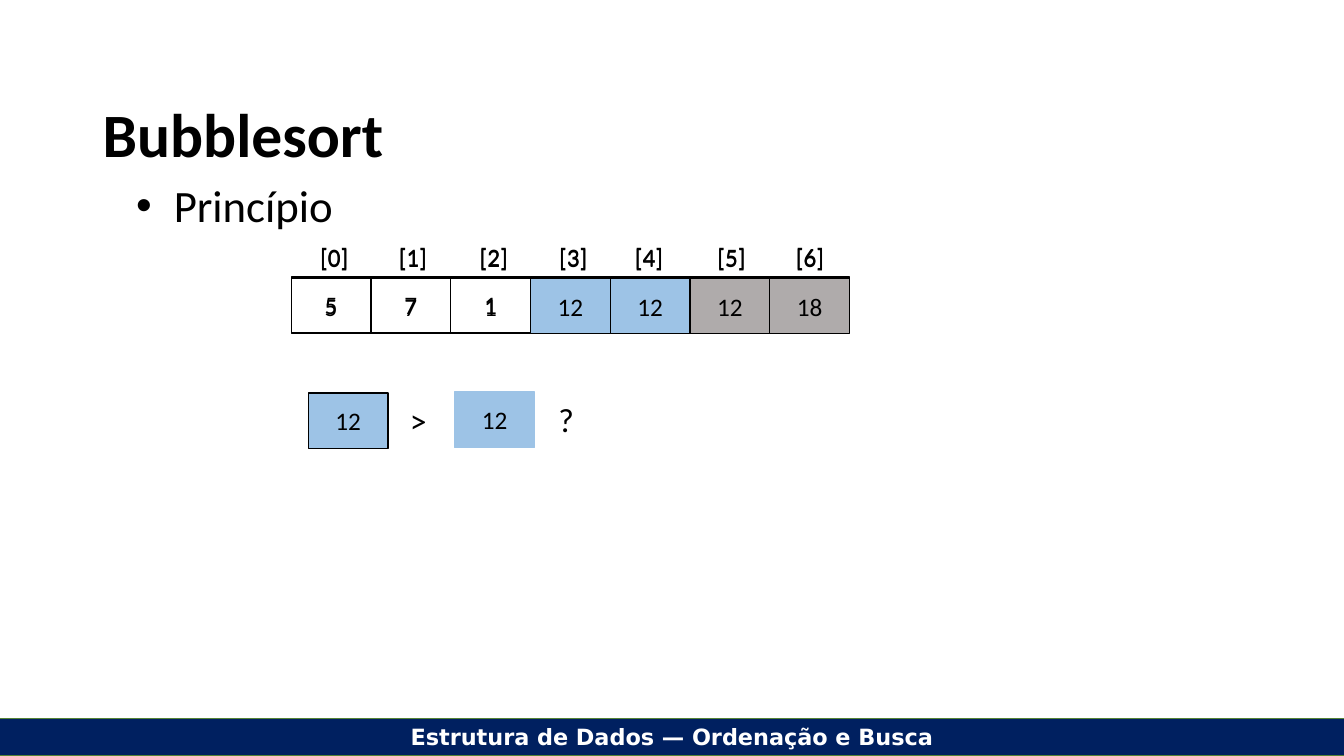
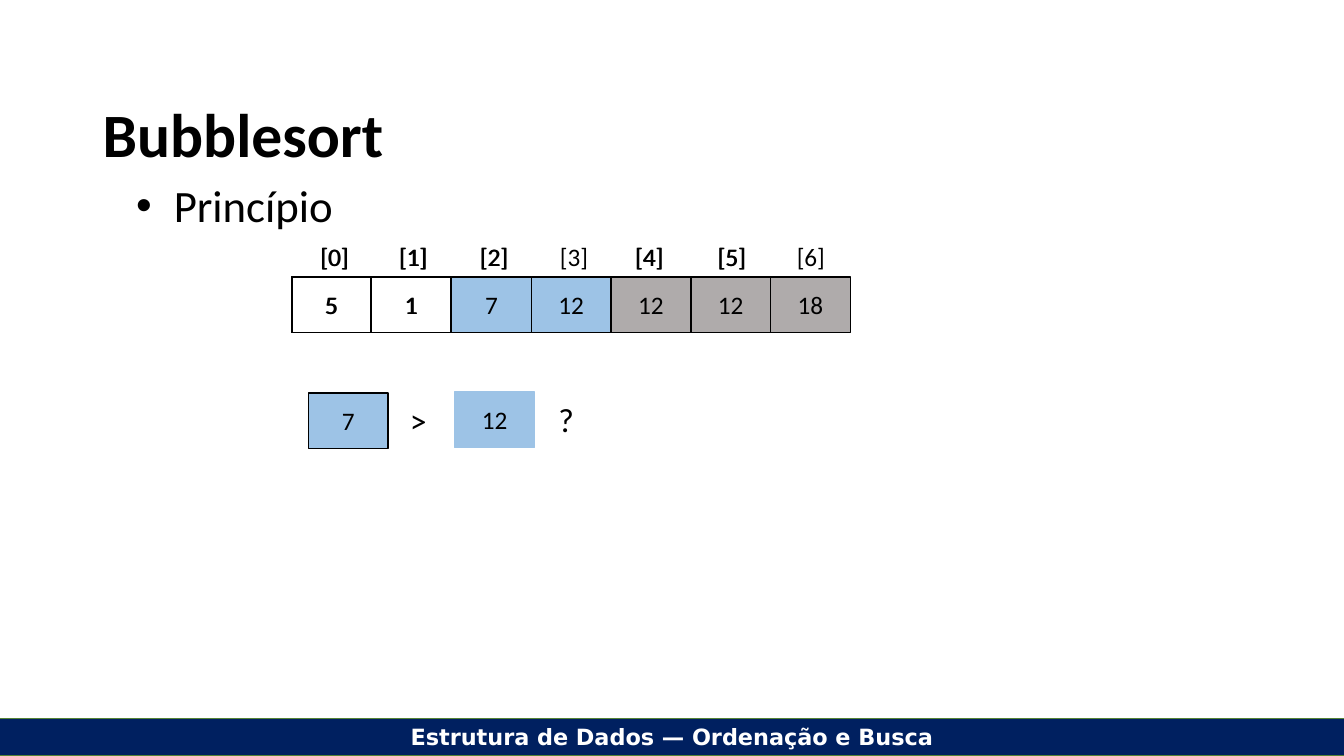
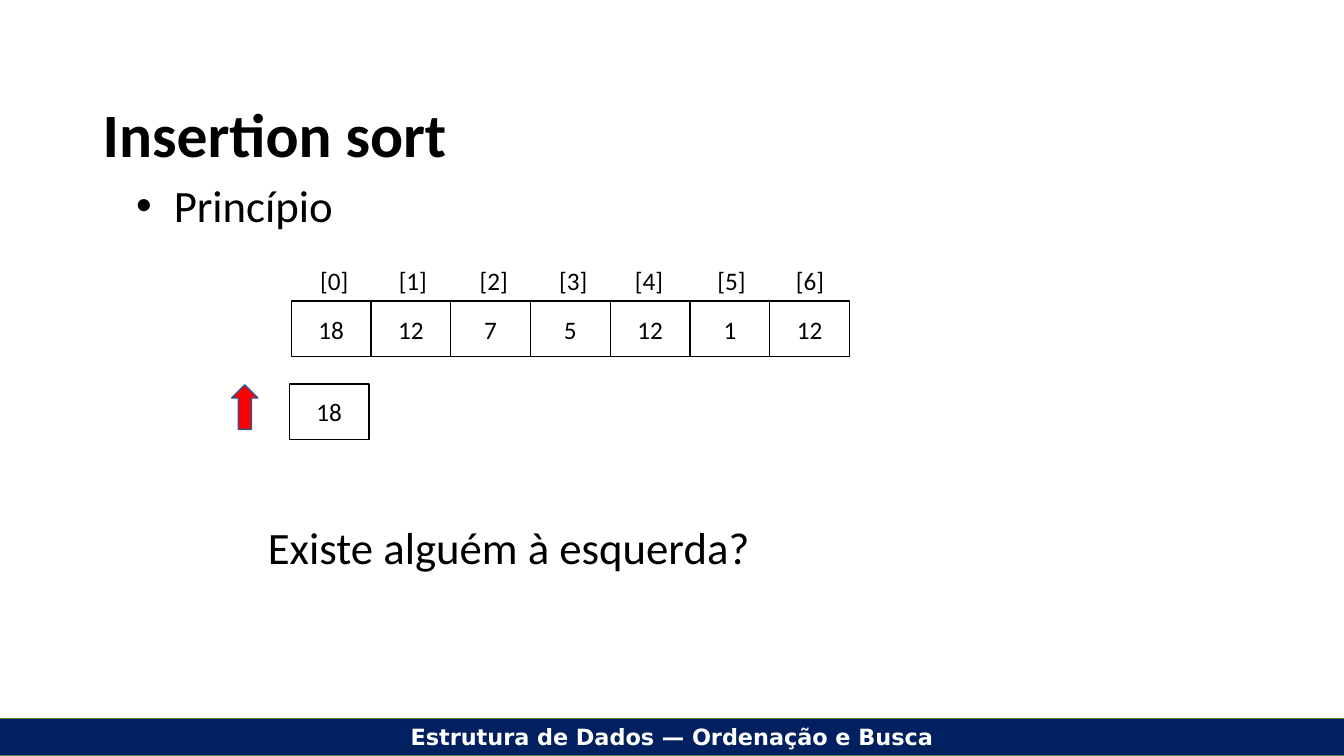
import pptx
import pptx.dml.color
import pptx.enum.shapes
import pptx.enum.text
import pptx.util
from lxml import etree
from pptx.oxml.ns import qn

Cm = pptx.util.Cm
Pt = pptx.util.Pt
RGBColor = pptx.dml.color.RGBColor
ALIGN = pptx.enum.text.PP_ALIGN
ANCHOR = pptx.enum.text.MSO_ANCHOR
AUTO_SIZE = pptx.enum.text.MSO_AUTO_SIZE
SHAPE = pptx.enum.shapes.MSO_SHAPE

BLACK = RGBColor(0x00, 0x00, 0x00)
WHITE = RGBColor(0xFF, 0xFF, 0xFF)
NAVY = RGBColor(0x00, 0x20, 0x60)
GREEN = RGBColor(0x54, 0x82, 0x35)
COMPARED = RGBColor(0x9D, 0xC3, 0xE6)
SORTED = RGBColor(0xAF, 0xAB, 0xAB)
RED = RGBColor(0xFF, 0x00, 0x00)
ARROW_EDGE = RGBColor(0x32, 0x54, 0x91)

BODY_FONT = "Calibri"
FOOTER_FONT = "DejaVu Sans"
FOOTER = "Estrutura de Dados — Ordenação e Busca"

CELL_WIDTH = 2.01
CELL_HEIGHT = 1.4
ARRAY_LEFT = 7.34
ARRAY_TOP = 6.98
INDEX_OFFSETS = (0.48, 2.46, 4.5, 6.5, 8.41, 10.49, 12.47)
INDEX_RISE = 1.02


def write(shape, text, size, color=BLACK, bold=False, font=BODY_FONT,
          align=ALIGN.LEFT, anchor=ANCHOR.TOP, wrap=True):
    """Fill a shape with one formatted paragraph and return that paragraph."""
    frame = shape.text_frame
    frame.text = text
    frame.word_wrap = wrap
    frame.vertical_anchor = anchor
    paragraph = frame.paragraphs[0]
    paragraph.alignment = align
    for span in paragraph.runs:
        span.font.name = font
        span.font.size = Pt(size)
        span.font.bold = bold
        span.font.color.rgb = color
    return paragraph


def add_text(page, text, left, top, width, height, size, **style):
    box = page.shapes.add_textbox(Cm(left), Cm(top), Cm(width), Cm(height))
    return write(box, text, size, **style)


def add_figure(page, kind, left, top, width, height, fill, line, line_width=1):
    figure = page.shapes.add_shape(kind, Cm(left), Cm(top), Cm(width), Cm(height))
    figure.shadow.inherit = False
    if fill is None:
        figure.fill.background()
    else:
        figure.fill.solid()
        figure.fill.fore_color.rgb = fill
    figure.line.color.rgb = line
    figure.line.width = Pt(line_width)
    return figure


def add_cell(page, value, left, top, fill=None, line=BLACK):
    cell = add_figure(page, SHAPE.RECTANGLE, left, top, CELL_WIDTH, CELL_HEIGHT, fill, line)
    write(cell, str(value), 18, align=ALIGN.CENTER, anchor=ANCHOR.MIDDLE)


def add_array(page, values, fills, left=ARRAY_LEFT, top=ARRAY_TOP, indexes=range(7)):
    """Draw a row of cells under its indexes; a value of None leaves a gap."""
    for position, (value, fill) in enumerate(zip(values, fills)):
        if value is not None:
            add_cell(page, value, left + position * CELL_WIDTH, top, fill)
    for index in indexes:
        add_text(page, f"[{index}]", left + INDEX_OFFSETS[index], top - INDEX_RISE,
                 1.22, 1.02, 18, wrap=False)


def add_comparison(page, first, second):
    add_cell(page, first, 7.77, 9.9, COMPARED)
    add_cell(page, second, 11.46, 9.88, COMPARED, COMPARED)
    add_text(page, ">", 10.08, 9.95, 1.02, 1.27, 24)
    add_text(page, "?", 13.82, 9.92, 1.02, 1.27, 24)


def add_bullet(paragraph):
    properties = paragraph._p.get_or_add_pPr()
    properties.set("marL", str(Cm(0.95)))
    properties.set("indent", str(-Cm(0.95)))
    etree.SubElement(properties, qn("a:buFont"), typeface="Arial")
    etree.SubElement(properties, qn("a:buChar"), char="•")


def add_page(deck, title):
    """Add a page with the shared footer, title and bullet."""
    page = deck.slides.add_slide(deck.slide_layouts[6])
    footer = add_figure(page, SHAPE.RECTANGLE, -0.02, 18.11, 33.91, 0.94, NAVY, GREEN, 0.75)
    write(footer, FOOTER, 16, WHITE, True, FOOTER_FONT, ALIGN.CENTER)
    footer.text_frame.auto_size = AUTO_SIZE.SHAPE_TO_FIT_TEXT
    heading = add_text(page, title, 2.34, 2.44, 29.21, 2.06, 44, bold=True, anchor=ANCHOR.MIDDLE)
    heading.line_spacing = 0.9
    topic = add_text(page, "Princípio", 3.18, 4.5, 29.21, 12.47, 32, align=ALIGN.JUSTIFY)
    topic.line_spacing = 0.9
    add_bullet(topic)
    return page


def add_equal_pair_page(deck):
    page = add_page(deck, "Bubblesort")
    values = (5, 7, 1, 12, 12, 12, 18)
    fills = [None] * 3 + [COMPARED] * 2 + [SORTED] * 2
    add_comparison(page, 12, 12)
    for top in (ARRAY_TOP, ARRAY_TOP + 0.03):
        add_array(page, values, fills, top=top)


def add_ordered_pair_page(deck):
    page = add_page(deck, "Bubblesort")
    fills = [None] * 2 + [COMPARED] * 2 + [SORTED] * 3
    add_array(page, (5, 1, None, None, 12, 12, 18), fills, indexes=(0, 1, 2, 4, 5))
    add_comparison(page, 7, 12)
    add_array(page, (5, 1, 7, 12, 12, 12, 18), fills, left=ARRAY_LEFT + 0.02)


def add_insertion_page(deck):
    page = add_page(deck, "Insertion sort")
    fills = [WHITE] * 2 + [None] * 5
    add_array(page, (18, 12, 7, 5, 12, 1, 12), fills, top=7.59)
    add_figure(page, SHAPE.UP_ARROW, 5.84, 9.7, 0.66, 1.12, RED, ARROW_EDGE)
    add_text(page, "Existe alguém à esquerda?", 6.5, 12.98, 12.78, 1.63, 32, wrap=False)
    add_cell(page, 18, 7.29, 9.68, WHITE)


def main():
    deck = pptx.Presentation()
    deck.slide_width = Cm(33.87)
    deck.slide_height = Cm(19.05)
    add_equal_pair_page(deck)
    add_ordered_pair_page(deck)
    add_insertion_page(deck)
    deck.save("out.pptx")


if __name__ == "__main__":
    main()
